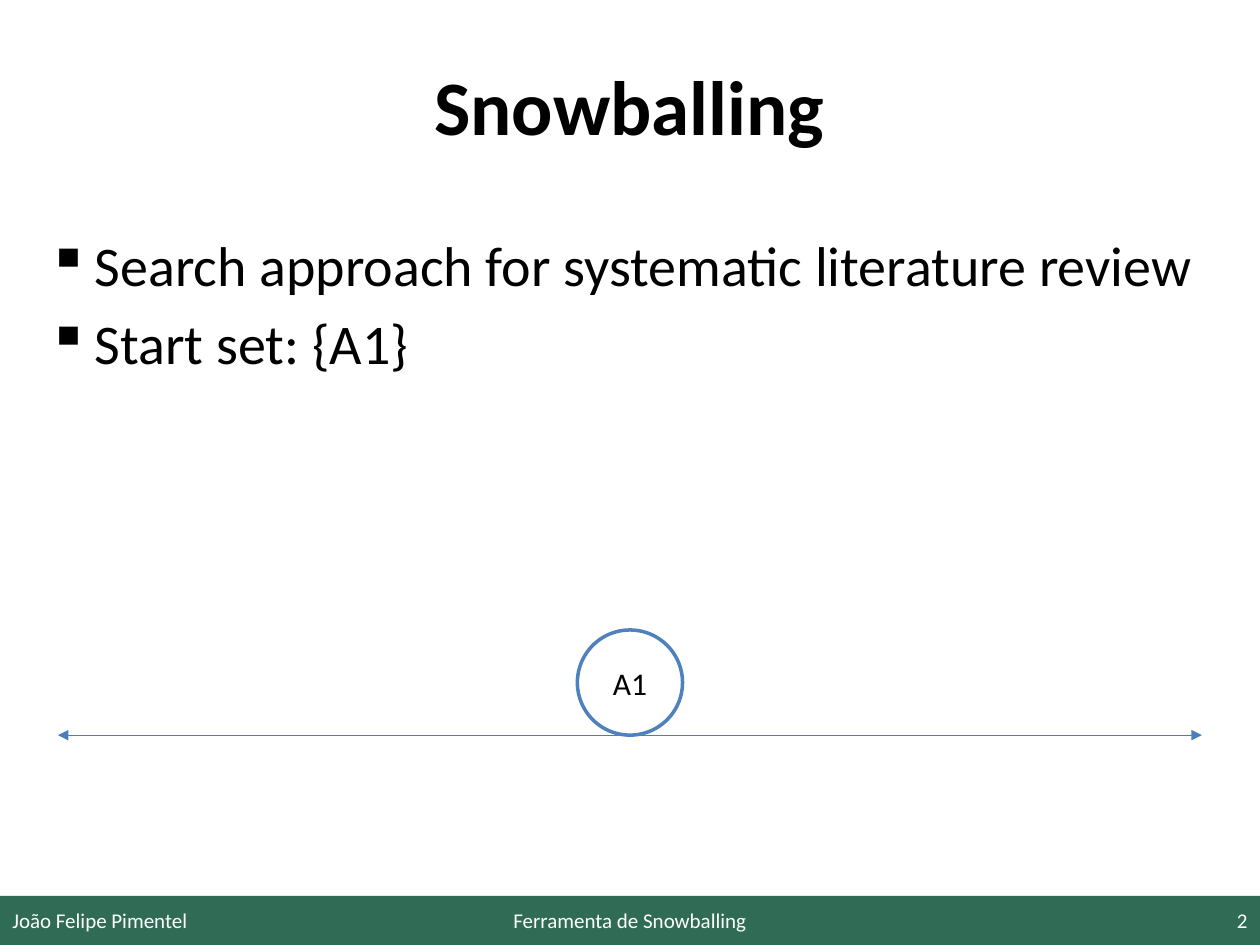
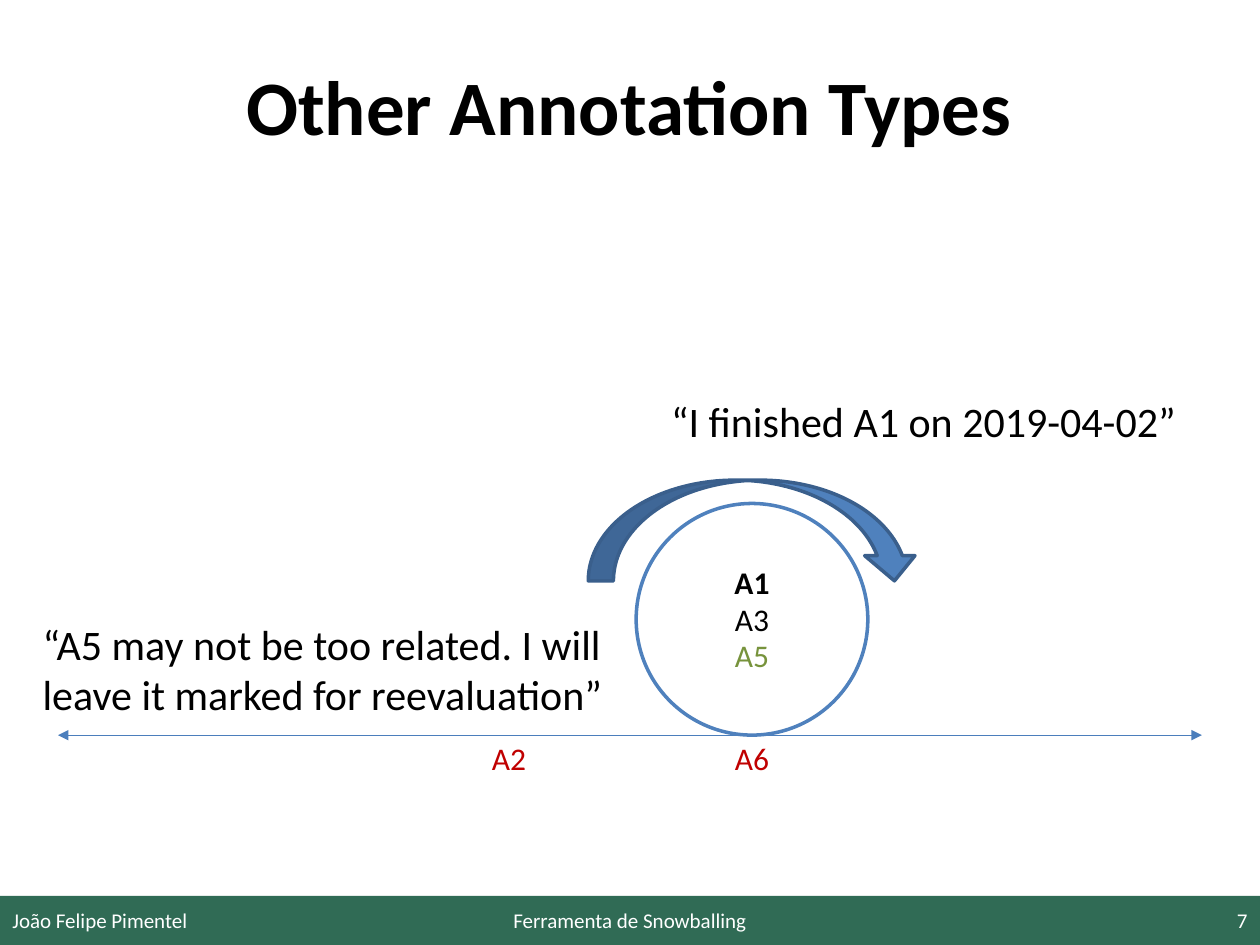
from lxml import etree
from pptx import Presentation
from pptx import util as u
from pptx.dml.color import RGBColor
from pptx.enum import shapes, text
from pptx.oxml.ns import qn

BLACK = RGBColor(0x00, 0x00, 0x00)
WHITE = RGBColor(0xFF, 0xFF, 0xFF)
BAND_GREEN = RGBColor(0x30, 0x6B, 0x55)
BLUE = RGBColor(0x4F, 0x81, 0xBD)
DARK_BLUE = RGBColor(0x3A, 0x5F, 0x8C)
TIMELINE_BLUE = RGBColor(0x4B, 0x7E, 0xBC)
OLIVE = RGBColor(0x77, 0x93, 0x3C)
RED = RGBColor(0xC0, 0x00, 0x00)

FONT = "Calibri"
PAGE_WIDTH, PAGE_HEIGHT = 25.4, 19.05
BAND_TOP = 18.06
TIMELINE_Y = 14.82
TIMELINE_MARGIN = 1.17
LABEL_WIDTH, LABEL_HEIGHT = 1.22, 1.02

LEFT, CENTER, RIGHT = text.PP_ALIGN.LEFT, text.PP_ALIGN.CENTER, text.PP_ALIGN.RIGHT
TOP, MIDDLE = text.MSO_ANCHOR.TOP, text.MSO_ANCHOR.MIDDLE


class Deck:
    def __init__(self):
        self.prs = Presentation()
        self.prs.slide_width = u.Cm(PAGE_WIDTH)
        self.prs.slide_height = u.Cm(PAGE_HEIGHT)
        self.slide = None

    def new_slide(self, title, number):
        self.slide = self.prs.slides.add_slide(self.prs.slide_layouts[5])
        heading = self.slide.shapes.title
        heading.left, heading.top = u.Cm(2.54), u.Cm(0.53)
        heading.width, heading.height = u.Cm(20.3), u.Cm(3.18)
        self.set_text(heading.text_frame, [title], 44, align=CENTER, anchor=MIDDLE, bold=True)
        self.footer(number)

    def footer(self, number):
        self.shape(shapes.MSO_SHAPE.RECTANGLE, 0, BAND_TOP,
                   PAGE_WIDTH, PAGE_HEIGHT - BAND_TOP, BAND_GREEN)
        for words, left, width, align in (
            ("João Felipe Pimentel", 0, 5.92, LEFT),
            ("Ferramenta de Snowballing", 8.68, 8.04, CENTER),
            (str(number), PAGE_WIDTH - 5.92, 5.92, RIGHT),
        ):
            self.text_box([words], left, 18.04, width, 1.01, 12, WHITE, align, MIDDLE)

    def set_text(self, frame, lines, size, color=BLACK, align=LEFT, anchor=TOP,
                 bold=False, wrap=True, bullet=False):
        frame.word_wrap = wrap
        frame.vertical_anchor = anchor
        for index, line in enumerate(lines):
            paragraph = frame.paragraphs[0] if index == 0 else frame.add_paragraph()
            paragraph.text = line
            paragraph.alignment = align
            if bullet:
                paragraph.space_before = u.Pt(6.4 if index else 0)
                self.bullet(paragraph)
            font = paragraph.font
            font.name, font.size, font.bold = FONT, u.Pt(size), bold
            font.color.rgb = color

    def bullet(self, paragraph):
        properties = paragraph._p.get_or_add_pPr()
        indent = u.Cm(0.95)
        properties.set("marL", str(indent))
        properties.set("indent", str(-indent))
        etree.SubElement(properties, qn("a:buChar")).set("char", "▪")

    def text_box(self, lines, left, top, width, height, size, color=BLACK,
                 align=LEFT, anchor=TOP, **style):
        box = self.slide.shapes.add_textbox(u.Cm(left), u.Cm(top), u.Cm(width), u.Cm(height))
        self.set_text(box.text_frame, lines, size, color, align, anchor, **style)

    def label(self, name, center, top, color=BLACK, bold=False):
        self.text_box([name], center - LABEL_WIDTH / 2, top, LABEL_WIDTH, LABEL_HEIGHT,
                      18, color, CENTER, bold=bold, wrap=False)

    def quote(self, lines, left, top, width, height):
        self.text_box(lines, left, top, width, height, 24, wrap=False)

    def shape(self, preset, left, top, width, height, fill, line=None):
        drawn = self.slide.shapes.add_shape(
            preset, u.Cm(left), u.Cm(top), u.Cm(width), u.Cm(height))
        drawn.shadow.inherit = False
        drawn.fill.solid()
        drawn.fill.fore_color.rgb = fill
        if line is None:
            drawn.line.fill.background()
        else:
            drawn.line.color.rgb = line
            drawn.line.width = u.Pt(2)
        return drawn

    def circle(self, name, center, diameter):
        drawn = self.shape(shapes.MSO_SHAPE.OVAL, center - diameter / 2,
                           TIMELINE_Y - diameter, diameter, diameter, WHITE, BLUE)
        self.set_text(drawn.text_frame, [name], 18, align=CENTER, anchor=MIDDLE)

    def timeline(self):
        axis = self.slide.shapes.add_connector(
            shapes.MSO_CONNECTOR.STRAIGHT, u.Cm(TIMELINE_MARGIN), u.Cm(TIMELINE_Y),
            u.Cm(PAGE_WIDTH - TIMELINE_MARGIN), u.Cm(TIMELINE_Y))
        axis.line.color.rgb = TIMELINE_BLUE
        axis.line.width = u.Pt(0.75)
        outline = axis._element.spPr.find(qn("a:ln"))
        for end in ("a:headEnd", "a:tailEnd"):
            etree.SubElement(outline, qn(end)).set("type", "triangle")
        etree.SubElement(axis._element.spPr, qn("a:effectLst"))


def snowballing(deck):
    deck.new_slide("Snowballing", 2)
    deck.text_box(["Search approach for systematic literature review", "Start set: {A1}"],
                  0.71, 4.52, 24, 12.8, 32, bullet=True)
    deck.timeline()
    deck.circle("A1", PAGE_WIDTH / 2, 2.12)


def annotation_types(deck):
    deck.new_slide("Other Annotation Types", 7)
    deck.timeline()
    start_set, excluded = 15.16, 10.26
    deck.circle("A3", start_set, 4.67)
    deck.label("A5", start_set, 12.7, OLIVE)
    deck.label("A1", start_set, 11.23, bold=True)
    deck.shape(shapes.MSO_SHAPE.CURVED_DOWN_ARROW, 11.86, 9.68, 6.68, 2.03, BLUE, DARK_BLUE)
    for name, center in (("A2", excluded), ("A6", start_set)):
        deck.label(name, center, 14.78, RED)
    deck.quote(["“I finished A1 on 2019-04-02”"], 13.28, 7.85, 10.77, 1.27)
    deck.quote(["“A5 may not be too related. I will", "leave it marked for reevaluation”"],
               0.61, 12.34, 12.17, 2.31)


def main():
    deck = Deck()
    snowballing(deck)
    annotation_types(deck)
    deck.prs.save("out.pptx")


if __name__ == "__main__":
    main()
